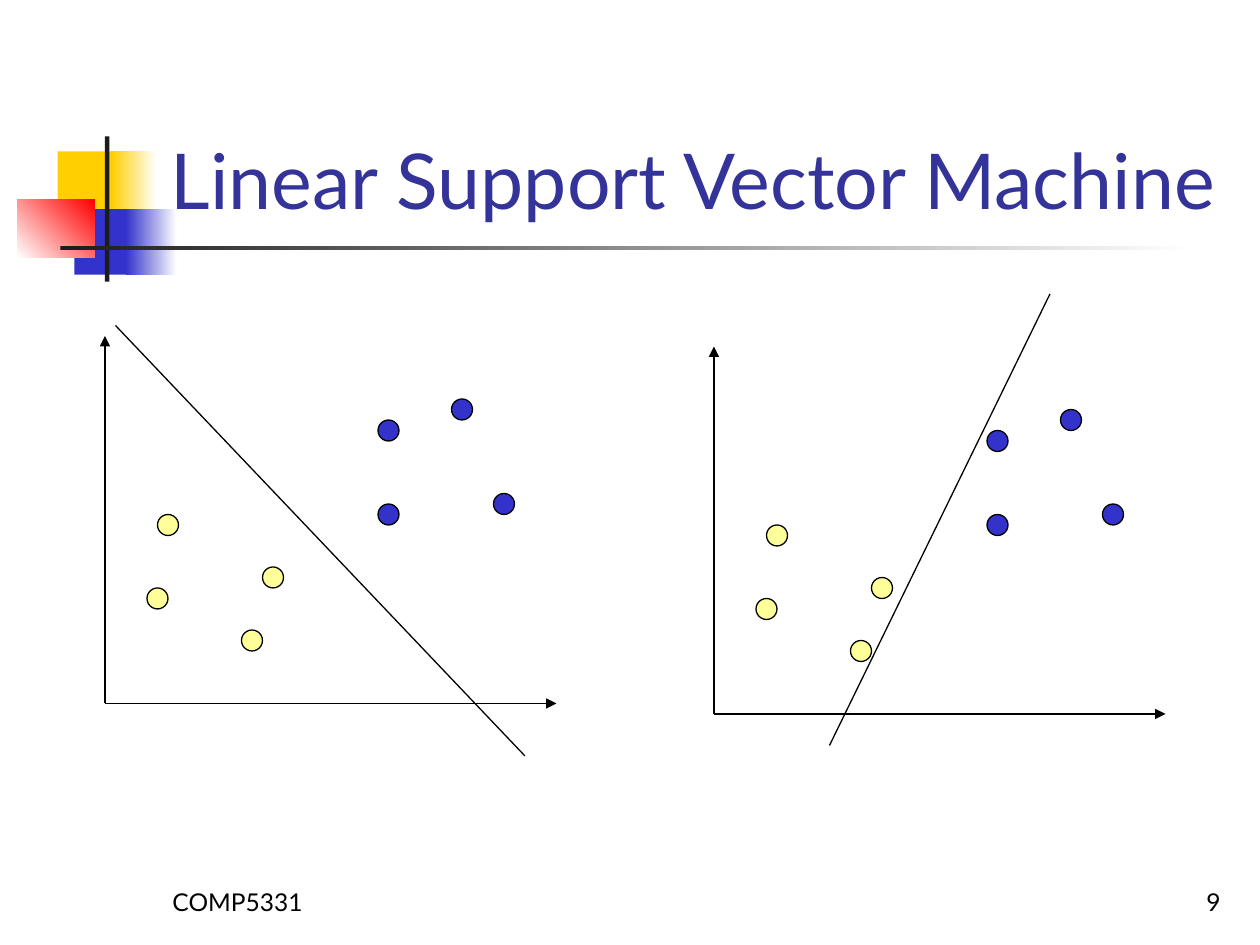
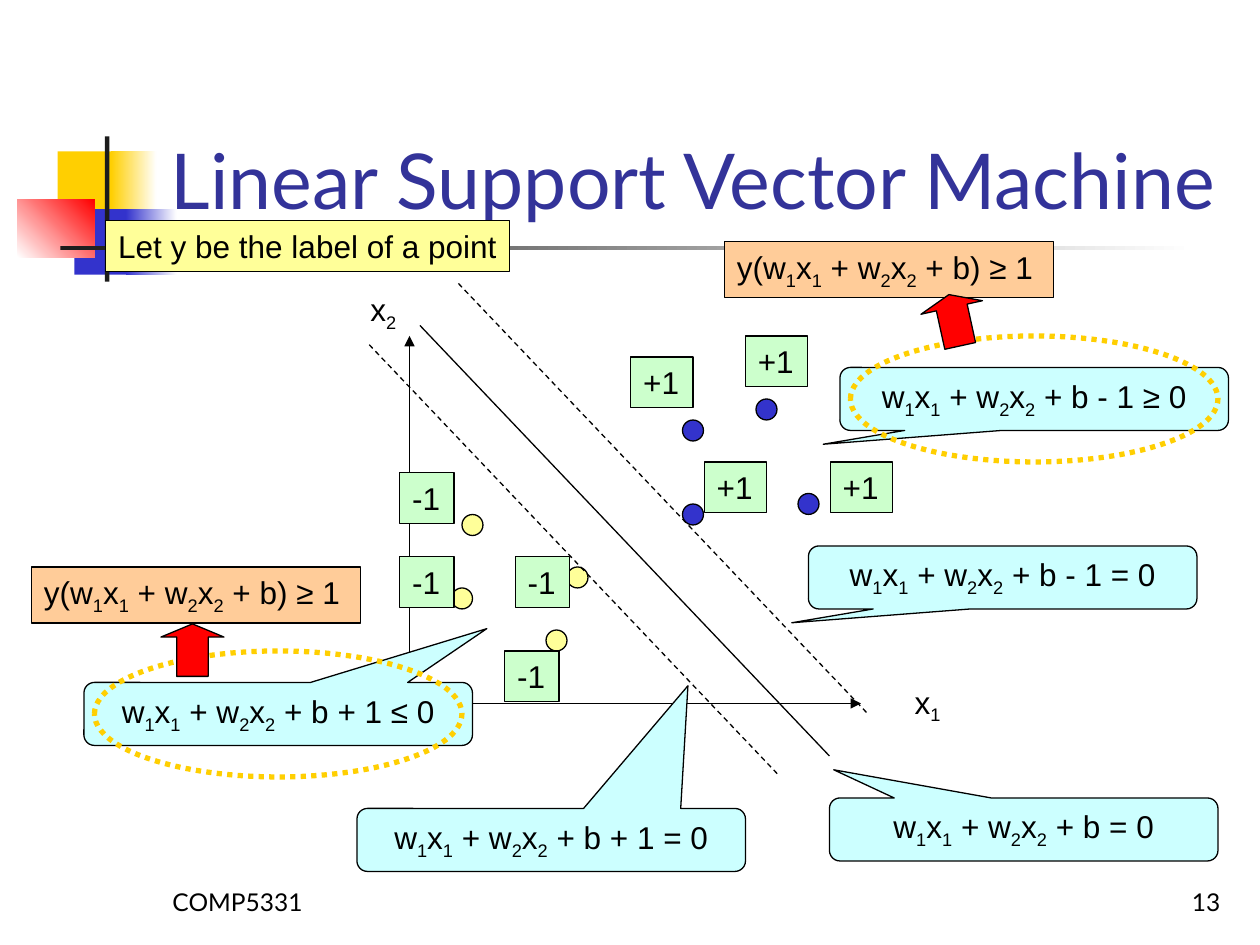
"""Build two slides on linear support vector machines."""
from dataclasses import dataclass

from lxml.etree import SubElement
from pptx import Presentation
from pptx.dml.color import RGBColor
from pptx.enum.dml import MSO_LINE
from pptx.enum.shapes import MSO_CONNECTOR, MSO_SHAPE
from pptx.enum.text import MSO_ANCHOR, MSO_AUTO_SIZE, PP_ALIGN
from pptx.oxml.ns import qn
from pptx.util import Pt


@dataclass(frozen=True)
class Theme:
    black: str = "000000"
    white: str = "FFFFFF"
    title: str = "333399"
    gold: str = "FFCF01"
    blue: str = "3333CC"
    red: str = "FF0000"
    charcoal: str = "1C1C1C"
    yellow: str = "FFFF99"
    cyan: str = "CCFFFF"
    green: str = "CCFFCC"
    orange: str = "FFCC99"
    heading_font: str = "Lato"
    body_font: str = "Arial"
    title_size: float = 44
    body_size: float = 18
    footer_size: float = 14
    thin: float = 0.75
    thick: float = 3


theme = Theme()


def write_text(frame, text, font=theme.body_font, size=theme.body_size,
               color=theme.black, align=PP_ALIGN.LEFT):
    paragraph = frame.paragraphs[0]
    paragraph.alignment = align
    first, *others = text.split("_")
    pieces = [(first, False)]
    for other in others:
        pieces += [(other[0], True), (other[1:], False)]
    for piece, is_subscript in pieces:
        if piece:
            run = paragraph.add_run()
            run.text = piece
            run.font.name = font
            run.font.size = Pt(size)
            run.font.color.rgb = RGBColor.from_string(color)
            if is_subscript:
                run._r.get_or_add_rPr().set("baseline", "-25000")


def add_shape(slide, kind, box, fill=None, line=None, width=theme.thin):
    shape = slide.shapes.add_shape(kind, *map(Pt, box))
    shape.shadow.inherit = False
    if fill:
        shape.fill.solid()
        shape.fill.fore_color.rgb = RGBColor.from_string(fill)
    else:
        shape.fill.background()
    if line:
        shape.line.color.rgb = RGBColor.from_string(line)
        shape.line.width = Pt(width)
    else:
        shape.line.fill.background()
    return shape


presentation = Presentation()
presentation.slide_width = Pt(720)
presentation.slide_height = Pt(540)

ornaments = [
    ((33, 86.5, 34.5, 37.5), theme.gold, None, 0),
    ((63.5, 86.5, 26, 37.5), theme.gold, theme.white, 0),
    ((42.5, 119.5, 33, 37.5), theme.blue, None, 0),
    ((72, 119.5, 29, 37.5), theme.blue, theme.white, 0),
    ((10, 114, 44, 33), theme.white, theme.red, 45),
    ((60, 78, 2.5, 83), theme.charcoal, None, 0),
    ((34.5, 140.5, 648, 2.5), theme.charcoal, theme.white, 0),
]

dot_size = 12
dots = {
    theme.blue: [(156, -162), (198, -174), (222, -120), (156, -114)],
    theme.yellow: [(24, -66), (78, -42), (30, -108), (90, -78)],
}
axes = [((0, 0), (258, 0)), ((0, 0), (0, -210))]
middle_line = ((6, -216), (240, 30))
steep_line = ((192, -240), (66, 18))
margin_lines = [((28, -240), (262, 6)), ((-23, -205), (211, 41))]

slide_plots = [
    ("9", [((60, 402), [middle_line], []), ((408, 408), [steep_line], [])]),
    ("13", [((234, 402), [middle_line], margin_lines)]),
]

for number, plots in slide_plots:
    slide = presentation.slides.add_slide(presentation.slide_layouts[5])

    for box, color, end_color, angle in ornaments:
        ornament = add_shape(slide, MSO_SHAPE.RECTANGLE, box, color)
        if end_color:
            ornament.fill.gradient()
            ornament.fill.gradient_angle = angle
            for stop, stop_color in zip(ornament.fill.gradient_stops, (color, end_color)):
                stop.color.rgb = RGBColor.from_string(stop_color)

    for left, text, align in [(91.5, "COMP5331", PP_ALIGN.LEFT), (554.5, number, PP_ALIGN.RIGHT)]:
        footer = slide.shapes.add_textbox(Pt(left), Pt(491.5), Pt(150), Pt(36)).text_frame
        footer.word_wrap = True
        footer.vertical_anchor = MSO_ANCHOR.BOTTOM
        write_text(footer, text, theme.heading_font, theme.footer_size, align=align)

    title = slide.shapes.title
    title.left, title.top, title.width, title.height = map(Pt, (90.5, 16.5, 613.5, 115.5))
    title.text_frame.auto_size = MSO_AUTO_SIZE.NONE
    title.text_frame.vertical_anchor = MSO_ANCHOR.BOTTOM
    write_text(title.text_frame, "Linear Support Vector Machine",
               theme.heading_font, theme.title_size, theme.title)
    slide.shapes.element.append(title.element)

    for (origin_x, origin_y), separators, margins in plots:
        for color, offsets in dots.items():
            for x, y in offsets:
                add_shape(slide, MSO_SHAPE.OVAL,
                          (origin_x + x, origin_y + y, dot_size, dot_size), color, theme.black)
        for start, end in axes + separators + margins:
            connector = slide.shapes.add_connector(
                MSO_CONNECTOR.STRAIGHT,
                Pt(origin_x + start[0]), Pt(origin_y + start[1]),
                Pt(origin_x + end[0]), Pt(origin_y + end[1]))
            connector.line.color.rgb = RGBColor.from_string(theme.black)
            connector.line.width = Pt(theme.thin)
            if (start, end) in margins:
                connector.line.dash_style = MSO_LINE.DASH
            if (start, end) in axes:
                SubElement(connector.line._get_or_add_ln(), qn("a:tailEnd"), type="triangle")
            SubElement(connector._element.spPr, qn("a:effectLst"))

for left, top, text in [(515.5, 386.5, "x_1"), (204.5, 162, "x_2")]:
    axis_label = slide.shapes.add_textbox(Pt(left), Pt(top), Pt(29), Pt(32)).text_frame
    axis_label.word_wrap = False
    axis_label.auto_size = MSO_AUTO_SIZE.SHAPE_TO_FIT_TEXT
    write_text(axis_label, text)

weighted_sum = "w_1x_1 + w_2x_2 + b"
callouts = [
    (474, 456, " = 0", -0.489, -0.948),
    (462, 312, " - 1 = 0", -0.543, 0.719),
    (204, 462, " + 1 = 0", 0.352, -2.448),
    (480, 210, " - 1 ≥ 0", -0.543, 0.719),
    (48, 390, " + 1 ≤ 0", 0.537, -1.354),
]
for left, top, ending, tip_x, tip_y in callouts:
    callout = add_shape(slide, MSO_SHAPE.ROUNDED_RECTANGULAR_CALLOUT,
                        (left, top, 222, 36), theme.cyan, theme.black)
    callout.adjustments[0] = tip_x
    callout.adjustments[1] = tip_y
    callout.text_frame.word_wrap = True
    callout.text_frame.vertical_anchor = MSO_ANCHOR.TOP
    write_text(callout.text_frame, weighted_sum + ending, align=PP_ALIGN.CENTER)

for left, top in [(486, 192), (54, 372)]:
    highlight = add_shape(slide, MSO_SHAPE.OVAL, (left, top, 210, 72),
                          line=theme.gold, width=theme.thick)
    highlight.line.dash_style = MSO_LINE.ROUND_DOT

class_labels = {
    ("+1", 35.5): [(360.5, 204), (426, 192), (402.5, 264), (474.5, 264)],
    ("-1", 31): [(228.5, 270), (228.5, 318), (294.5, 318), (288.5, 372)],
}
labels = [((left, top, width, 29), theme.green, text)
          for (text, width), corners in class_labels.items() for left, top in corners]
labels.append(((60.5, 126, 230.5, 29), theme.yellow, "Let y be the label of a point"))
for left, top in [(414, 138), (18, 324)]:
    labels.append(((left, top, 188, 32), theme.orange, f"y({weighted_sum}) ≥ 1"))
for box, fill, text in labels:
    label = add_shape(slide, MSO_SHAPE.RECTANGLE, box, fill, theme.black)
    label.text_frame.word_wrap = False
    label.text_frame.auto_size = MSO_AUTO_SIZE.SHAPE_TO_FIT_TEXT
    label.text_frame.vertical_anchor = MSO_ANCHOR.TOP
    write_text(label.text_frame, text)

for left, top, rotation in [(530.5, 165, 257.6), (95, 353.5, 270)]:
    arrow = add_shape(slide, MSO_SHAPE.RIGHT_ARROW, (left, top, 30, 36), theme.red, theme.black)
    arrow.adjustments[0] = 0.5
    arrow.adjustments[1] = 0.25
    arrow.rotation = rotation

presentation.save("out.pptx")
